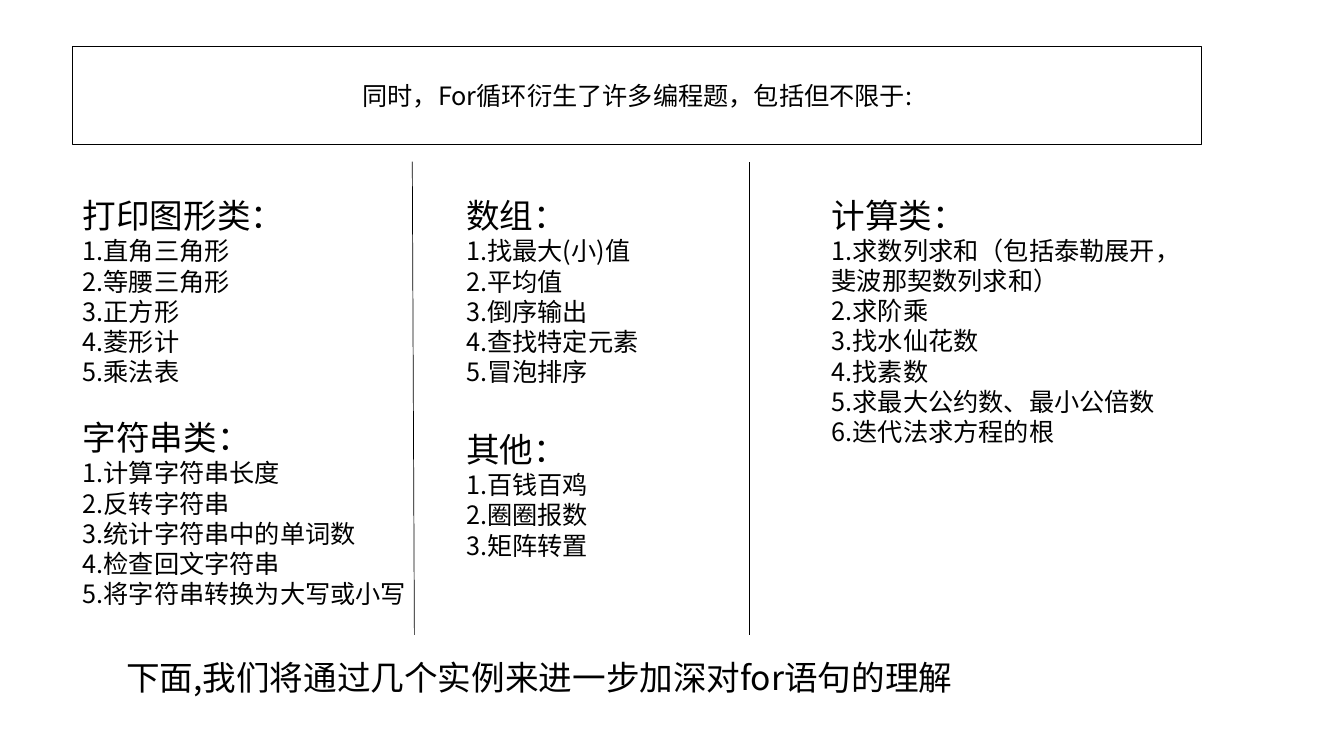
from lxml import etree
from pptx import Presentation
from pptx.dml.color import RGBColor
from pptx.enum.shapes import MSO_CONNECTOR
from pptx.enum.text import MSO_ANCHOR, MSO_AUTO_SIZE, PP_ALIGN
from pptx.oxml.ns import qn
from pptx.util import Pt

STRAIGHT = MSO_CONNECTOR.STRAIGHT
MIDDLE, TOP = MSO_ANCHOR.MIDDLE, MSO_ANCHOR.TOP
CENTER, LEFT = PP_ALIGN.CENTER, PP_ALIGN.LEFT
NO_AUTOFIT = MSO_AUTO_SIZE.NONE

FONT = "Noto Sans CJK SC"
BLACK = "000000"
HEADING_SIZE, ITEM_SIZE = 24, 18

TITLE = "同时，For循环衍生了许多编程题，包括但不限于:"
CLOSING = "下面,我们将通过几个实例来进一步加深对for语句的理解"
TITLE_BOX = (52, 33, 806.5, 70.5)
CLOSING_BOX = (83, 469, 760, 54)

# (left, top, width, height), heading, items
TOPICS = [
    ((52, 136, 183, 167), "打印图形类：",
     ["直角三角形", "等腰三角形", "正方形", "菱形计", "乘法表"]),
    ((52, 294.5, 271.5, 167), "字符串类：",
     ["计算字符串长度", "反转字符串", "统计字符串中的单词数", "检查回文字符串",
      "将字符串转换为大写或小写"]),
    ((326, 136, 159, 145.5), "数组：",
     ["找最大(小)值", "平均值", "倒序输出", "查找特定元素", "冒泡排序"]),
    ((326, 303, 159, 101.5), "其他：",
     ["百钱百鸡", "圈圈报数", "矩阵转置"]),
    ((587, 135.5, 247.5, 189.5), "计算类：",
     ["求数列求和（包括泰勒展开，斐波那契数列求和）", "求阶乘", "找水仙花数", "找素数",
      "求最大公约数、最小公倍数", "迭代法求方程的根"]),
]

DIVIDER_TOP, DIVIDER_BOTTOM = 115.5, 453.5
DIVIDERS = [(294.5, 296), (535, 535)]  # x at top, x at bottom


def color(hex_value):
    return RGBColor.from_string(hex_value)


def write(paragraph, text, size):
    run = paragraph.add_run()
    run.text = text
    for name, value in {"name": FONT, "size": Pt(size), "bold": False}.items():
        setattr(run.font, name, value)
    run.font.color.rgb = color(BLACK)
    east_asian = etree.SubElement(run.font._element, qn("a:ea"))
    east_asian.set("typeface", FONT)


def place(shape, box):
    for name, value in zip(("left", "top", "width", "height"), box):
        setattr(shape, name, Pt(value))


def fill_placeholder(shape, box, text, size, anchor, alignment):
    place(shape, box)
    frame = shape.text_frame
    settings = {"auto_size": NO_AUTOFIT, "word_wrap": True, "vertical_anchor": anchor}
    for name, value in settings.items():
        setattr(frame, name, value)
    paragraph = frame.paragraphs[0]
    paragraph.alignment = alignment
    paragraph.space_before = Pt(0)
    write(paragraph, text, size)
    return paragraph


def add_topic(slide, box, heading, items):
    frame = slide.shapes.add_textbox(*map(Pt, box)).text_frame
    frame.word_wrap = True
    write(frame.paragraphs[0], heading, HEADING_SIZE)
    for number, item in enumerate(items, 1):
        write(frame.add_paragraph(), f"{number}.{item}", ITEM_SIZE)


def add_divider(slide, top_x, bottom_x):
    line = slide.shapes.add_connector(
        STRAIGHT, Pt(bottom_x), Pt(DIVIDER_BOTTOM), Pt(top_x), Pt(DIVIDER_TOP))
    line.line.color.rgb = color(BLACK)
    line.line.width = Pt(0.5)
    etree.SubElement(line._element.spPr, qn("a:effectLst"))


def main():
    presentation = Presentation()
    presentation.slide_width, presentation.slide_height = Pt(960), Pt(540)
    slide = presentation.slides.add_slide(presentation.slide_layouts[1])

    title = slide.shapes.title
    fill_placeholder(title, TITLE_BOX, TITLE, ITEM_SIZE, MIDDLE, CENTER)
    title.line.color.rgb = color(BLACK)
    title.line.width = Pt(0.75)

    for box, heading, items in TOPICS:
        add_topic(slide, box, heading, items)
    for top_x, bottom_x in DIVIDERS:
        add_divider(slide, top_x, bottom_x)

    closing = fill_placeholder(
        slide.placeholders[1], CLOSING_BOX, CLOSING, HEADING_SIZE, TOP, LEFT)
    closing.line_spacing = 0.9
    properties = closing._p.get_or_add_pPr()
    properties.set("marL", "0")
    properties.set("indent", "0")
    etree.SubElement(properties, qn("a:buNone"))

    presentation.save("out.pptx")


if __name__ == "__main__":
    main()
